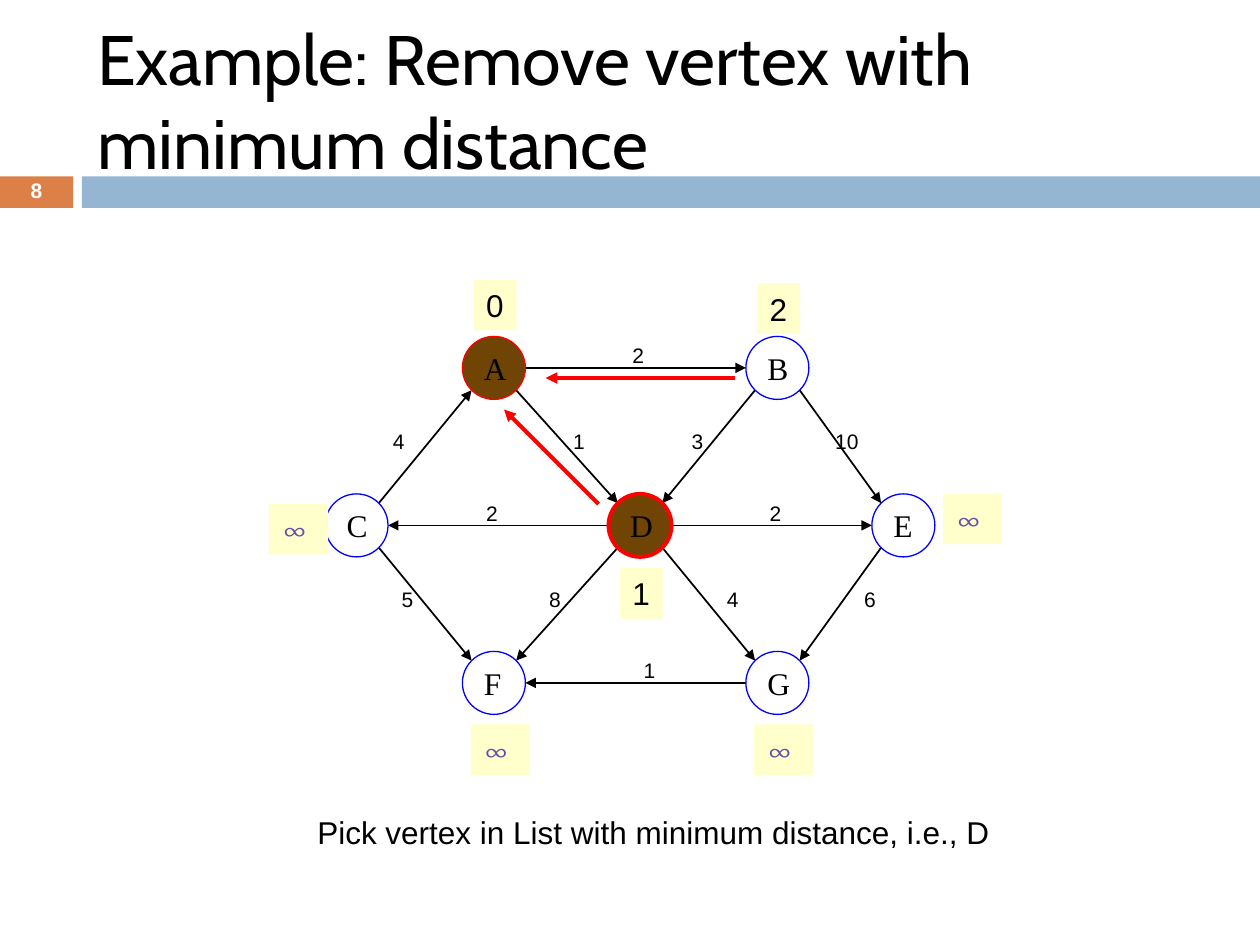
from dataclasses import dataclass
from math import sqrt
from lxml import etree
from pptx import Presentation
from pptx import util as u
from pptx.dml.color import RGBColor
from pptx.enum import shapes, text
from pptx.oxml.ns import qn


@dataclass(frozen=True)
class Theme:
    black: str = "000000"
    white: str = "FFFFFF"
    orange: str = "DD8047"
    band: str = "94B6D2"
    blue: str = "0000FF"
    red: str = "FF0000"
    brown: str = "704404"
    yellow: str = "FFFFCC"
    purple: str = "674EA7"
    heading: str = "Cabin"
    body: str = "Arial"
    serif: str = "Times New Roman"
    symbol: str = "Cambria"
    title: int = 40
    normal: int = 18
    small: int = 12


T = Theme()
TITLE = "Example: Remove vertex with minimum distance"
PAGE = "8"
CAPTION = "Pick vertex in List with minimum distance, i.e., D"

ROWS = [2.92, 4.17, 5.42]
COLS = [2.83, 3.92, 5.08, 6.17, 7.17]
RADIUS = 0.25

# (column, row, distance, tag offset x, tag offset y)
VERTICES = {
    "A": (1, 0, "0", 0.01, -0.5),
    "B": (3, 0, "2", 0.01, -0.47),
    "C": (0, 1, "∞", -0.46, 0.03),
    "D": (2, 1, "1", 0.01, 0.54),
    "E": (4, 1, "∞", 0.55, -0.05),
    "F": (1, 2, "∞", 0.05, 0.53),
    "G": (3, 2, "∞", 0.05, 0.53),
}
REMOVED = {"A": 0.75, "D": 2.25}
EDGES = [
    ("A", "B", "2", 5.07), ("A", "D", "1", 4.6), ("B", "D", "3", 5.54),
    ("B", "E", "10", 6.73), ("C", "A", "4", 3.17), ("C", "F", "5", 3.24),
    ("D", "C", "2", 3.91), ("D", "E", "2", 6.16), ("D", "F", "8", 4.41),
    ("D", "G", "4", 5.82), ("E", "G", "6", 6.91), ("G", "F", "1", 5.16),
]
PARENT_ARROWS = [((4.75, 4), (4, 3.25)), ((5.83, 3), (4.33, 3))]


def rgb(value):
    return RGBColor.from_string(value)


def inches(*values):
    return [u.Inches(v) for v in values]


def write(sp, words, size, font, color=T.black, bold=False, wrap=False,
          anchor=text.MSO_ANCHOR.TOP, align=text.PP_ALIGN.LEFT,
          fit=text.MSO_AUTO_SIZE.NONE):
    tf = sp.text_frame
    tf.word_wrap = wrap
    tf.auto_size = fit
    tf.vertical_anchor = anchor
    p = tf.paragraphs[0]
    p.alignment = align
    r = p.add_run()
    r.text = words
    r.font.size = u.Pt(size)
    r.font.name = font
    r.font.bold = bold
    r.font.color.rgb = rgb(color)


def add_shape(s, kind, x, y, w, h, fill=None, line=None, weight=0.75):
    sp = s.shapes.add_shape(kind, *inches(x, y, w, h))
    sp.shadow.inherit = False
    if fill:
        sp.fill.solid()
        sp.fill.fore_color.rgb = rgb(fill)
    else:
        sp.fill.background()
    if line:
        sp.line.color.rgb = rgb(line)
        sp.line.width = u.Pt(weight)
    else:
        sp.line.fill.background()
    return sp


def add_arrow(s, start, end, color, weight):
    c = s.shapes.add_connector(shapes.MSO_CONNECTOR.STRAIGHT, *inches(*start, *end))
    c.line.color.rgb = rgb(color)
    c.line.width = u.Pt(weight)
    etree.SubElement(c.line._get_or_add_ln(), qn("a:tailEnd"), type="triangle")
    etree.SubElement(c._element.spPr, qn("a:effectLst"))


def center(name):
    col, row = VERTICES[name][:2]
    return COLS[col], ROWS[row]


def rim(name, toward):
    (x, y), (tx, ty) = center(name), center(toward)
    dx, dy = (tx > x) - (tx < x), (ty > y) - (ty < y)
    reach = RADIUS / sqrt(dx * dx + dy * dy)
    return x + dx * reach, y + dy * reach


def add_frame(s):
    rect = shapes.MSO_SHAPE.RECTANGLE
    add_shape(s, rect, 0, 1.4, 0.58, 0.25, T.orange)
    add_shape(s, rect, 0.65, 1.4, 9.35, 0.25, T.band)
    title = s.shapes.title
    title.left, title.top, title.width, title.height = inches(0.67, 0.25, 8.92, 1.08)
    write(title, TITLE, T.title, T.heading, wrap=True, anchor=text.MSO_ANCHOR.MIDDLE)
    number = s.shapes.add_textbox(*inches(0, 1.39, 0.58, 0.27))
    write(number, PAGE, T.small, T.body, T.white, bold=True, wrap=True,
          anchor=text.MSO_ANCHOR.MIDDLE, align=text.PP_ALIGN.CENTER)
    number.text_frame.paragraphs[0].line_spacing = 0.8
    caption = s.shapes.add_textbox(*inches(2.42, 6.4, 5.6, 0.4))
    write(caption, CAPTION, T.normal, T.body, fit=text.MSO_AUTO_SIZE.SHAPE_TO_FIT_TEXT)


def add_graph(s):
    grow = text.MSO_AUTO_SIZE.SHAPE_TO_FIT_TEXT
    for a, b, weight, x in EDGES:
        add_arrow(s, rim(a, b), rim(b, a), T.black, 1)
        ya, yb = center(a)[1], center(b)[1]
        y = (ya + yb) / 2 - (0.1 if ya == yb else 0.04)
        w = 0.2 + 0.1 * len(weight)
        label = s.shapes.add_textbox(*inches(x - w / 2, y - 0.15, w, 0.3))
        write(label, weight, T.small, T.body, anchor=text.MSO_ANCHOR.MIDDLE, fit=grow)
    for name in VERTICES:
        x, y = center(name)
        gone = name in REMOVED
        sp = add_shape(s, shapes.MSO_SHAPE.OVAL, x - RADIUS, y - RADIUS,
                       2 * RADIUS, 2 * RADIUS, T.brown if gone else None,
                       T.red if gone else T.blue, REMOVED.get(name, 0.75))
        write(sp, name, T.normal, T.serif, anchor=text.MSO_ANCHOR.MIDDLE)
    for name, (_, _, distance, dx, dy) in VERTICES.items():
        x, y = center(name)
        unknown = distance == "∞"
        w = 0.47 if unknown else 0.34
        tag = add_shape(s, shapes.MSO_SHAPE.RECTANGLE, x + dx - w / 2, y + dy - 0.2,
                        w, 0.4, T.yellow)
        write(tag, distance, T.normal, T.symbol if unknown else T.body,
              T.purple if unknown else T.black, fit=grow)
    for start, end in PARENT_ARROWS:
        add_arrow(s, start, end, T.red, 2.25)


def main():
    prs = Presentation()
    prs.slide_width, prs.slide_height = inches(10, 7.5)
    s = prs.slides.add_slide(prs.slide_layouts[5])
    add_frame(s)
    add_graph(s)
    prs.save("out.pptx")


if __name__ == "__main__":
    main()
